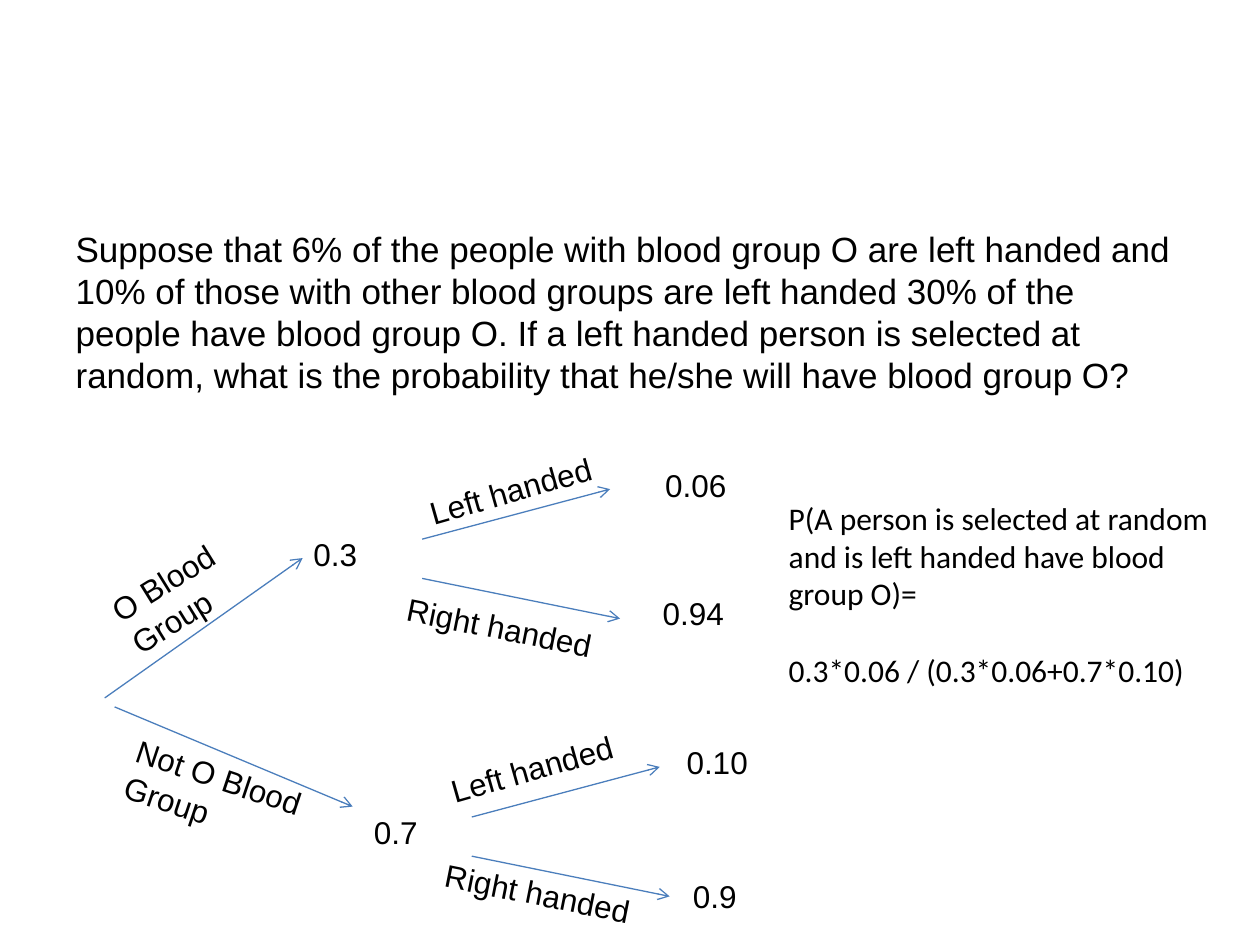
from lxml.etree import SubElement
from pptx import Presentation
from pptx.dml.color import RGBColor
from pptx.enum.shapes import MSO_CONNECTOR as Conn
from pptx.oxml.ns import qn
from pptx.util import Cm, Pt

COLORS = {"text": "000000", "arrow": "4B7EBC"}

QUESTION = (
    "Suppose that 6% of the people with blood group O are left handed and "
    "10% of those with other blood groups are left handed 30% of the people "
    "have blood group O. If a left handed person is selected at random, what "
    "is the probability that he/she will have blood group O?"
)
ANSWER = [
    "P(A person is selected at random and is left handed have blood group O)=",
    "0.3*0.06 / (0.3*0.06+0.7*0.10)",
]

# Arrows: x1, y1, x2, y2 in cm
GROUP_ARROWS = [(2.11, 14.07, 6.1, 11.25), (2.31, 14.25, 7.11, 16.26)]
HAND_ARROWS = [(8.51, 10.87, 12.3, 9.86), (8.51, 11.66, 12.5, 12.47)]
HAND_OFFSETS = [(0, 0), (1, 5.6)]  # blood group O, other groups

# Label kinds: width, height (cm), rotation
KINDS = {
    "O Blood Group": (3.2, 1.8, -31.8),
    "Not O Blood Group": (3.99, 1.8, 18.5),
    "Left handed": (4.04, 1.02, -15.9),
    "Right handed": (5.18, 1.02, 11.3),
}
VALUE_KIND = (2.34, 1.02, 0)

# Labels: text, left, top (cm)
LABELS = [
    ("O Blood Group", 2.06, 11.07),
    ("Not O Blood Group", 2.31, 15.14),
    ("0.3", 6.07, 10.67),
    ("0.7", 7.29, 16.26),
    ("Left handed", 8.36, 9.35),
    ("Right handed", 7.92, 12.22),
    ("Left handed", 8.79, 14.96),
    ("Right handed", 8.69, 17.58),
    ("0.06", 13.16, 9.27),
    ("0.94", 13.11, 11.86),
    ("0.10", 13.59, 14.86),
    ("0.9", 13.72, 17.55),
]


def format_runs(tf, size, font):
    for p in tf.paragraphs:
        for r in p.runs:
            r.font.size = Pt(size)
            r.font.name = font
            r.font.color.rgb = RGBColor.from_string(COLORS["text"])


def add_text(slide, text, left, top, width, height, font="Arial"):
    sp = slide.shapes.add_textbox(Cm(left), Cm(top), Cm(width), Cm(height))
    tf = sp.text_frame
    tf.word_wrap = True
    tf.text = text
    format_runs(tf, 18, font)
    return sp


def add_arrow(slide, x1, y1, x2, y2):
    line = slide.shapes.add_connector(Conn.STRAIGHT, Cm(x1), Cm(y1), Cm(x2), Cm(y2))
    line.line.color.rgb = RGBColor.from_string(COLORS["arrow"])
    line.line.width = Pt(0.75)
    SubElement(line.line._get_or_add_ln(), qn("a:tailEnd"), type="arrow")
    SubElement(line._element.spPr, qn("a:effectLst"))


def fill_question(body):
    body.left, body.top, body.width, body.height = Cm(1.27), Cm(4.45), Cm(22.86), Cm(12.57)
    tf = body.text_frame
    tf.text = QUESTION
    p = tf.paragraphs[0]
    p.space_before = Pt(0)
    pPr = p._p.get_or_add_pPr()
    pPr.set("marL", "0")
    pPr.set("indent", "0")
    SubElement(pPr, qn("a:buNone"))
    format_runs(tf, 20, "Arial")


def main():
    prs = Presentation()
    prs.slide_width, prs.slide_height = Cm(25.4), Cm(19.05)
    slide = prs.slides.add_slide(prs.slide_layouts[1])
    title, body = slide.placeholders
    title._element.getparent().remove(title._element)
    fill_question(body)

    for arrow in GROUP_ARROWS:
        add_arrow(slide, *arrow)
    for dx, dy in HAND_OFFSETS:
        for x1, y1, x2, y2 in HAND_ARROWS:
            add_arrow(slide, x1 + dx, y1 + dy, x2 + dx, y2 + dy)

    for text, left, top in LABELS:
        width, height, angle = KINDS.get(text, VALUE_KIND)
        add_text(slide, text, left, top, width, height).rotation = angle

    answer = add_text(slide, "\n".join(ANSWER), 15.65, 9.93, 9.6, 7.95, "Calibri")
    answer.text_frame.paragraphs[1].space_before = Pt(22)

    prs.save("out.pptx")


if __name__ == "__main__":
    main()
